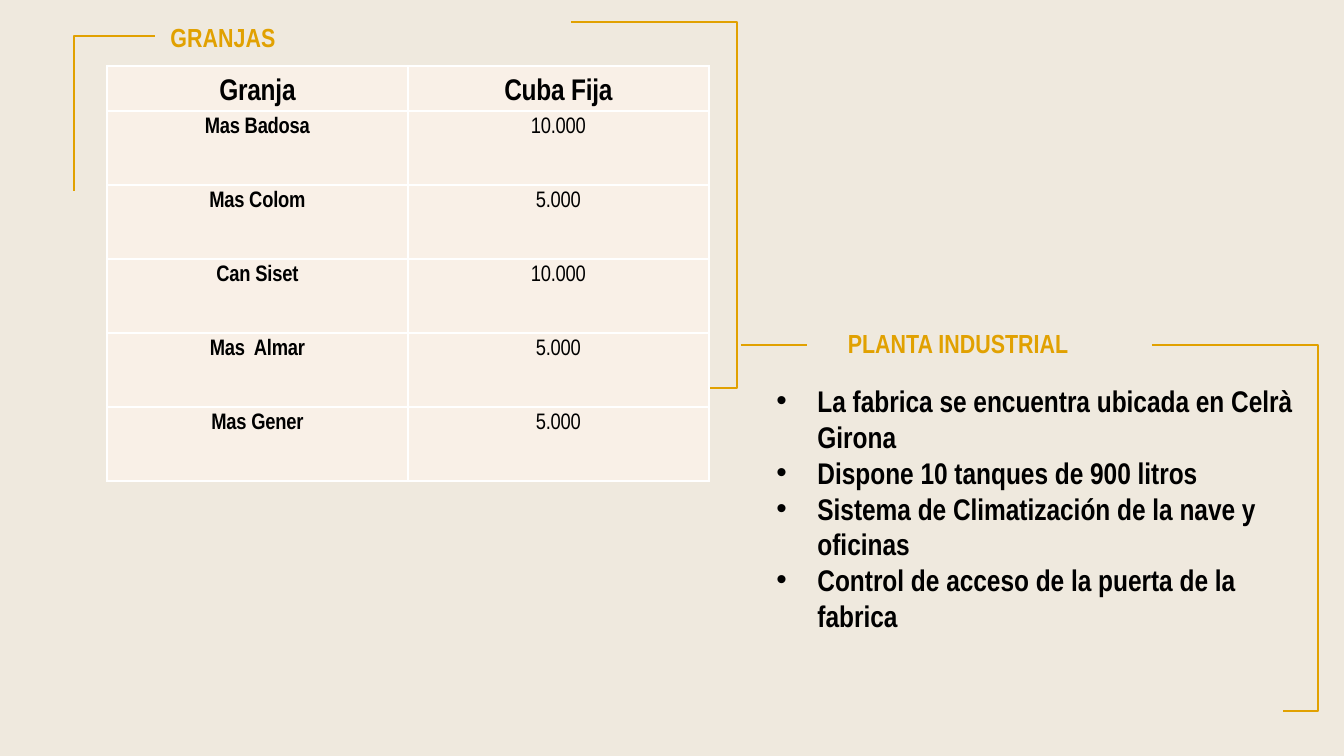
import pptx
import pptx.util
import pptx.dml.color
import pptx.enum.shapes
import pptx.enum.text
import pptx.oxml
import pptx.oxml.ns

PX = 914400 / 134.4
FONT = "Arial Narrow"
GOLD, BLACK, WHITE = "E1A101", "000000", "FFFFFF"
CREAM, PAPER = "F9F0E7", "EFE9DE"

FARMS = [
    ("Granja", "Cuba Fija"),
    ("Mas Badosa", "10.000"),
    ("Mas Colom", "5.000"),
    ("Can Siset", "10.000"),
    ("Mas  Almar", "5.000"),
    ("Mas Gener", "5.000"),
]
PLANT = [
    "La fabrica se encuentra ubicada en Celrà Girona",
    "Dispone 10 tanques de 900 litros",
    "Sistema de Climatización de la nave y oficinas",
    "Control de acceso de la puerta de la fabrica",
]
GRID = (107, 66, 602, 415)
HEAD, ROW = 45, 74
BRACKET = (131, 366)
ADJ = 126700

LINE = pptx.enum.shapes.MSO_CONNECTOR.STRAIGHT
BENT = pptx.enum.shapes.MSO_CONNECTOR.ELBOW
ALIGN = pptx.enum.text.PP_ALIGN
ANCHOR = pptx.enum.text.MSO_ANCHOR


def emu(px):
    return pptx.util.Emu(round(px * PX))


def color(code):
    return pptx.dml.color.RGBColor.from_string(code)


def node(xml):
    return pptx.oxml.parse_xml(xml.replace(">", f" {pptx.oxml.ns.nsdecls('a')}>", 1)
                               if not xml.split(">")[0].endswith("/")
                               else xml.replace("/>", f" {pptx.oxml.ns.nsdecls('a')}/>", 1))


def place(shape, left, top, width, height):
    shape.left, shape.top = emu(left), emu(top)
    shape.width, shape.height = emu(width), emu(height)


def write(frame, lines, size=16, tint=BLACK, bold=True, align=ALIGN.LEFT,
          space=1.0, bullet=False, track=None):
    for i, text in enumerate(lines):
        para = frame.paragraphs[0] if i == 0 else frame.add_paragraph()
        if bullet:
            props = para._p.get_or_add_pPr()
            props.set("marL", str(emu(41)))
            props.set("indent", str(-emu(41)))
            props.append(node(f'<a:buClr><a:srgbClr val="{tint}"/></a:buClr>'))
            props.append(node('<a:buFont typeface="Arial"/>'))
            props.append(node('<a:buChar char="•"/>'))
        para.alignment, para.line_spacing = align, space
        para.space_before = pptx.util.Pt(0)
        run = para.add_run()
        run.text = text
        font = run.font
        font.name, font.size, font.bold = FONT, pptx.util.Pt(size), bold
        font.color.rgb = color(tint)
        if track is not None:
            run._r.get_or_add_rPr().set("spc", str(track))


def label(shape, text, box):
    """Fill a gold section heading."""
    place(shape, *box)
    frame = shape.text_frame
    frame.word_wrap = True
    frame.auto_size = pptx.enum.text.MSO_AUTO_SIZE.NONE
    frame.vertical_anchor = ANCHOR.TOP
    frame.margin_left = frame.margin_right = emu(13)
    frame.margin_top = frame.margin_bottom = emu(13)
    write(frame, [text], size=14, tint=GOLD, align=ALIGN.CENTER)


def rule(shapes, kind, x1, y1, x2, y2):
    line = shapes.add_connector(kind, emu(x1), emu(y1), emu(x2), emu(y2))
    line.line.color.rgb = color(GOLD)
    line.line.width = pptx.util.Pt(1.5)
    line._element.spPr.append(node("<a:effectLst/>"))
    return line._element.spPr.prstGeom


def bracket(shapes, left, top):
    """Draw a three-sided bracket that opens to the left."""
    wide, high = BRACKET
    geom = rule(shapes, BENT, left, top, left + wide, top + high)
    geom.get_or_add_avLst().append(node(f'<a:gd name="adj1" fmla="val {ADJ}"/>'))


def border(cell):
    props = cell._tc.get_or_add_tcPr()
    for i, side in enumerate(("lnL", "lnR", "lnT", "lnB")):
        props.insert(i, node(f'<a:{side} w="12700"><a:solidFill>'
                             f'<a:srgbClr val="{WHITE}"/></a:solidFill></a:{side}>'))


def grid(shapes):
    left, top, width, height = map(emu, GRID)
    table = shapes.add_table(len(FARMS), 2, left, top, width, height).table
    table.first_row = table.horz_banding = False
    for r, row in enumerate(FARMS):
        table.rows[r].height = emu(ROW if r else HEAD)
        for c, text in enumerate(row):
            cell = table.cell(r, c)
            cell.margin_left = cell.margin_right = emu(8)
            cell.margin_top = cell.margin_bottom = 0
            cell.vertical_anchor = ANCHOR.TOP if r else ANCHOR.MIDDLE
            cell.fill.solid()
            cell.fill.fore_color.rgb = color(CREAM)
            border(cell)
            write(cell.text_frame, [text], size=12 if r else 16,
                  bold=r == 0 or c == 0, align=ALIGN.CENTER, space=1.3, track=-10)


def main():
    deck = pptx.Presentation()
    deck.slide_width, deck.slide_height = emu(1344), emu(756)
    slide = deck.slides.add_slide(deck.slide_layouts[1])
    slide.background.fill.solid()
    slide.background.fill.fore_color.rgb = color(PAPER)
    shapes = slide.shapes

    label(shapes.title, "GRANJAS ", (128, 8, 196, 56))
    corner = rule(shapes, BENT, 107, 36, 74, 191)
    corner.set("prst", "bentConnector2")
    rule(shapes, LINE, 89, 36, 155, 36)
    bracket(shapes, 571, 22)
    grid(shapes)

    body = slide.placeholders[1]
    place(body, 763, 376, 551, 344)
    frame = body.text_frame
    frame.word_wrap = True
    frame.auto_size = pptx.enum.text.MSO_AUTO_SIZE.NONE
    frame.vertical_anchor = ANCHOR.TOP
    write(frame, PLANT, bullet=True)

    rule(shapes, LINE, 741, 345, 807, 345)
    bracket(shapes, 1152, 345)
    label(shapes.add_textbox(0, 0, 0, 0), "PLANTA INDUSTRIAL ", (832, 314, 258, 56))
    deck.save("out.pptx")


if __name__ == "__main__":
    main()
